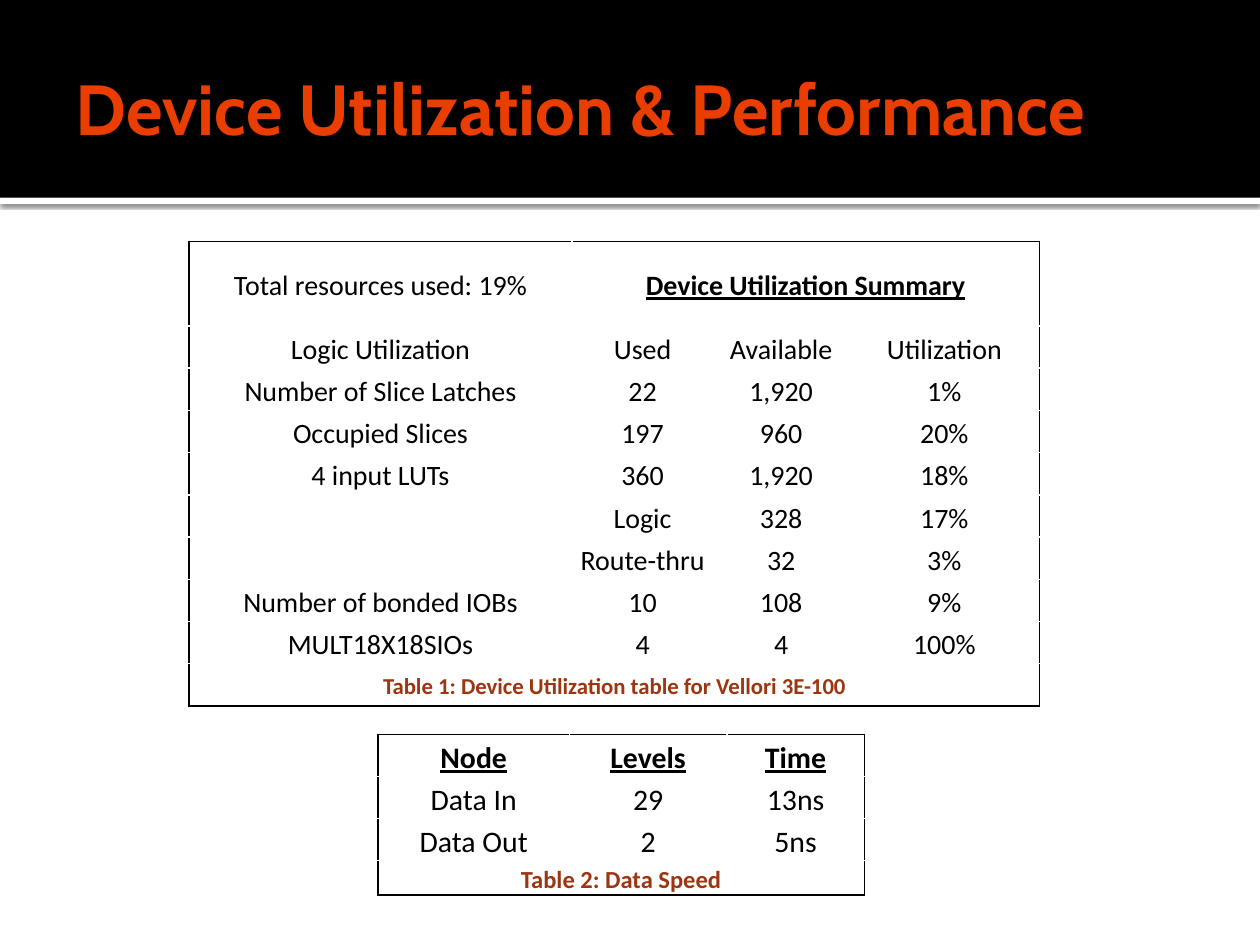
from lxml import etree
from pptx import Presentation
from pptx.dml.color import RGBColor
from pptx.enum.shapes import MSO_SHAPE
from pptx.enum.text import MSO_ANCHOR, PP_ALIGN
from pptx.oxml import parse_xml
from pptx.oxml.ns import nsdecls, qn
from pptx.util import Pt

RECTANGLE = MSO_SHAPE.RECTANGLE
TOP, MIDDLE = MSO_ANCHOR.TOP, MSO_ANCHOR.MIDDLE
LEFT, CENTER = PP_ALIGN.LEFT, PP_ALIGN.CENTER
BLACK = RGBColor(0x00, 0x00, 0x00)
WHITE = RGBColor(0xFF, 0xFF, 0xFF)
ORANGE = RGBColor(0xEA, 0x3D, 0x00)
RUST = RGBColor(0x9D, 0x35, 0x11)

TITLE = "Device Utilization & Performance"
SPEED = {
    "rows": [
        ["Node", "Levels", "Time"],
        ["Data In", "29", "13ns"],
        ["Data Out", "2", "5ns"],
        ["Table 2: Data Speed", "", ""],
    ],
    "headings": ["Node", "Levels", "Time"],
    "spans": {(3, 0): 3},
    "origin": (216, 419.8),
    "widths": [109.4, 90, 78.5],
    "heights": [24, 24, 24, 18.7],
    "size": 17, "caption_size": 14, "anchor": TOP,
}
UTILIZATION = {
    "rows": [
        ["Total resources used: 19%", "Device Utilization Summary", "", ""],
        ["Logic Utilization", "Used", "Available", "Utilization"],
        ["Number of Slice Latches", "22", "1,920", "1%"],
        ["Occupied Slices", "197", "960", "20%"],
        ["4 input LUTs", "360", "1,920", "18%"],
        ["", "Logic", "328", "17%"],
        ["", "Route-thru", "32", "3%"],
        ["Number of bonded IOBs", "10", "108", "9%"],
        ["MULT18X18SIOs", "4", "4", "100%"],
        ["Table 1: Device Utilization table for Vellori 3E-100", "", "", ""],
    ],
    "headings": ["Device Utilization Summary"],
    "spans": {(0, 1): 3, (9, 0): 4},
    "origin": (108, 138),
    "widths": [218.9, 80.6, 77.8, 108.7],
    "heights": [48.3] + [24.15] * 9,
    "size": 16, "caption_size": 13, "anchor": MIDDLE,
}


def add_band(slide, top, height, color):
    band = slide.shapes.add_shape(RECTANGLE, 0, Pt(top), Pt(720), Pt(height))
    band.shadow.inherit = False
    band.fill.solid()
    band.fill.fore_color.rgb = color
    band.line.fill.background()
    return band


def add_shadow(band):
    effects = band.element.spPr.find(qn("a:effectLst"))
    shadow = etree.SubElement(effects, qn("a:outerShdw"), blurRad=str(Pt(2.5)),
                              dist=str(Pt(0.8)), dir="5400000", rotWithShape="0")
    color = etree.SubElement(shadow, qn("a:srgbClr"), val=str(BLACK))
    etree.SubElement(color, qn("a:alpha"), val="60000")


def style_run(run, font, size, color, bold, underline=False):
    run.font.name = font
    run.font.size = Pt(size)
    run.font.color.rgb = color
    run.font.bold = bold
    run.font.underline = underline


def add_borders(cell, sides):
    properties = cell._tc.get_or_add_tcPr()
    for index, side in enumerate(sides):
        properties.insert(index, parse_xml(
            f'<a:ln{side} {nsdecls("a")} w="{Pt(1)}"><a:solidFill>'
            f'<a:srgbClr val="{BLACK}"/></a:solidFill></a:ln{side}>'))


def add_grid(slide, content):
    rows, widths, heights = content["rows"], content["widths"], content["heights"]
    left, top = content["origin"]
    grid = slide.shapes.add_table(len(rows), len(widths), Pt(left), Pt(top),
                                  Pt(sum(widths)), Pt(sum(heights))).table
    grid.first_row = grid.horz_banding = False
    for column, width in zip(grid.columns, widths):
        column.width = Pt(width)
    for row, height in zip(grid.rows, heights):
        row.height = Pt(height)
    for (r, c), span in content["spans"].items():
        grid.cell(r, c).merge(grid.cell(r, c + span - 1))

    last = len(rows) - 1
    for r, texts in enumerate(rows):
        for c, text in enumerate(texts):
            cell = grid.cell(r, c)
            cell.margin_left = cell.margin_right = 0
            cell.margin_top = cell.margin_bottom = 0
            cell.vertical_anchor = content["anchor"]
            cell.fill.background()
            end = c + content["spans"].get((r, c), 1)
            edges = {"L": c == 0, "R": end == len(widths), "T": r == 0, "B": r == last}
            add_borders(cell, [side for side, outer in edges.items() if outer])
            if not text:
                continue
            cell.text_frame.text = text
            paragraph = cell.text_frame.paragraphs[0]
            paragraph.alignment = CENTER
            paragraph.line_spacing = 1.15
            paragraph.space_before = paragraph.space_after = Pt(10)
            caption, heading = r == last, text in content["headings"]
            style_run(paragraph.runs[0], "Calibri",
                      content["caption_size"] if caption else content["size"],
                      RUST if caption else BLACK, caption or heading, heading)


def add_title(slide):
    title = slide.shapes.title
    slide.shapes.element.append(title.element)
    title.left, title.top, title.width, title.height = Pt(36), Pt(12.2), Pt(648), Pt(98.6)
    frame = title.text_frame
    frame.text = TITLE
    frame.word_wrap = True
    frame.vertical_anchor = MIDDLE
    frame.margin_left = Pt(7.2)
    frame.margin_right = frame.margin_top = frame.margin_bottom = Pt(3.6)
    frame.paragraphs[0].alignment = LEFT
    style_run(frame.paragraphs[0].runs[0], "Cabin", 40.5, ORANGE, True)


def main():
    deck = Presentation()
    deck.slide_width, deck.slide_height = Pt(720), Pt(540)
    slide = deck.slides.add_slide(deck.slide_layouts[5])
    add_shadow(add_band(slide, 113, 3.6, WHITE))
    add_band(slide, 0, 113, BLACK)
    add_title(slide)
    for content in (SPEED, UTILIZATION):
        add_grid(slide, content)
    deck.save("out.pptx")


if __name__ == "__main__":
    main()
